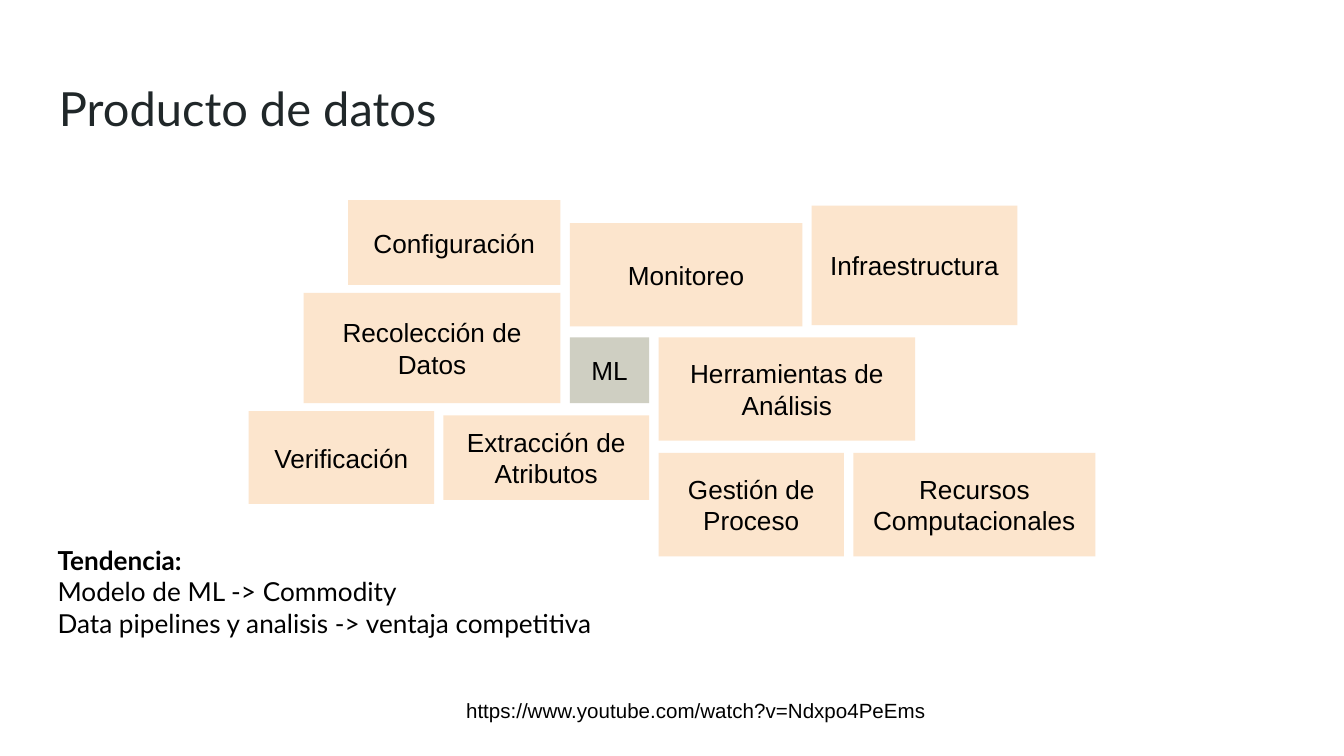
from pptx import Presentation
from pptx.dml.color import RGBColor as RGB
from pptx.enum.shapes import MSO_SHAPE as Shape
from pptx.enum.text import MSO_ANCHOR as Anchor, PP_ALIGN as Align
from pptx.util import Inches, Pt

THEME = {
    "title": ("Lato", 25.2, "202729"),
    "note": ("Lato", 14, "000000"),
    "block": ("Arial", 14, "000000"),
    "link": ("Arial", 11, "000000"),
    "peach": "FCE5CD",
    "sage": "CFCFC2",
}

# Text boxes: style, left, top, width, height, lines as (text, bold)
TEXTS = [
    ("title", 0.34, 0.49, 9.32, 0.63, [("Producto de datos", False)]),
    ("link", 3.37, 5.1, 6.36, 0.4,
     [("https://www.youtube.com/watch?v=Ndxpo4PeEms", False)]),
    ("note", 0.33, 3.95, 4.63, 0.91, [
        ("Tendencia:", True),
        ("Modelo de ML -> Commodity", False),
        ("Data pipelines y analisis -> ventaja competitiva", False),
    ]),
]

# Rows of blocks: left edge of the row, then (label, top, width, height, fill)
GAP = 0.07
ROWS = [
    (2.59, [("Configuración", 1.49, 1.58, 0.63, "peach"),
            ("Monitoreo", 1.66, 1.73, 0.77, "peach"),
            ("Infraestructura", 1.53, 1.53, 0.89, "peach")]),
    (2.26, [("Recolección de Datos", 2.18, 1.91, 0.82, "peach"),
            ("ML", 2.51, 0.59, 0.49, "sage"),
            ("Herramientas de Análisis", 2.51, 1.91, 0.77, "peach")]),
    (1.85, [("Verificación", 3.06, 1.38, 0.69, "peach"),
            ("Extracción de Atributos", 3.09, 1.53, 0.63, "peach"),
            ("Gestión de Proceso", 3.37, 1.38, 0.77, "peach"),
            ("Recursos Computacionales", 3.37, 1.8, 0.77, "peach")]),
]


def write(shape, lines, style, align, anchor):
    frame = shape.text_frame
    frame.word_wrap = True
    frame.vertical_anchor = anchor
    frame.margin_left = frame.margin_right = Inches(0.1)
    frame.margin_top = frame.margin_bottom = Inches(0.1)
    name, size, color = THEME[style]
    for i, (text, bold) in enumerate(lines):
        para = frame.add_paragraph() if i else frame.paragraphs[0]
        para.alignment = align
        run = para.add_run()
        run.text = text
        font = run.font
        font.name, font.size, font.bold = name, Pt(size), bold
        font.color.rgb = RGB.from_string(color)


def add_block(slide, label, box, fill):
    block = slide.shapes.add_shape(Shape.RECTANGLE, *map(Inches, box))
    block.shadow.inherit = False
    block.fill.solid()
    block.fill.fore_color.rgb = RGB.from_string(THEME[fill])
    block.line.fill.background()
    write(block, [(label, False)], "block", Align.CENTER, Anchor.MIDDLE)


def main():
    deck = Presentation()
    deck.slide_width = Inches(10)
    deck.slide_height = Inches(10 * 9 / 16)
    slide = deck.slides.add_slide(deck.slide_layouts[6])
    for left, row in ROWS:
        for label, top, width, height, fill in row:
            add_block(slide, label, (left, top, width, height), fill)
            left += width + GAP
    for style, *box, lines in TEXTS:
        text = slide.shapes.add_textbox(*map(Inches, box))
        write(text, lines, style, Align.LEFT, Anchor.TOP)
    deck.save("out.pptx")


if __name__ == "__main__":
    main()
